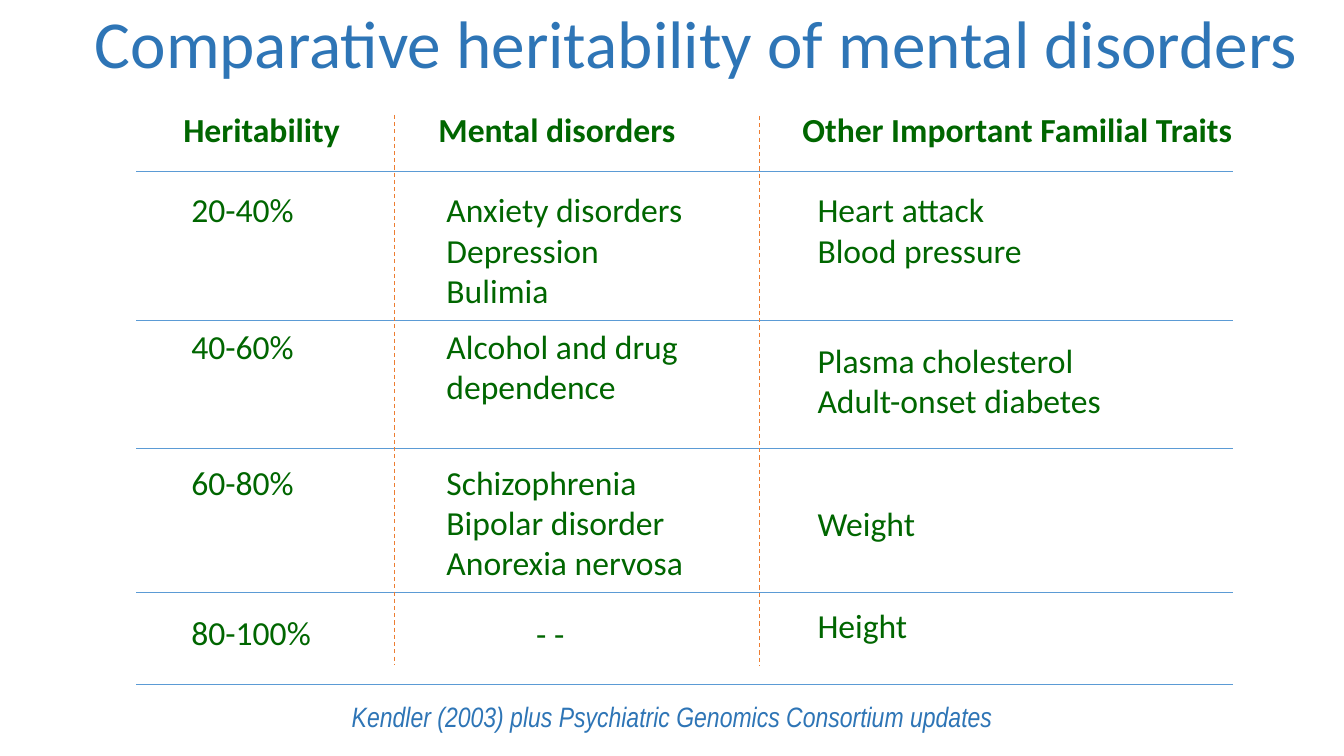
from lxml.etree import SubElement
from pptx import Presentation
from pptx.dml.color import RGBColor
from pptx.enum.dml import MSO_LINE
from pptx.enum.shapes import MSO_CONNECTOR
from pptx.enum.text import MSO_ANCHOR, MSO_AUTO_SIZE, PP_ALIGN
from pptx.oxml.ns import qn
from pptx.util import Inches, Pt

GREEN, BLUE, RULE_BLUE, ORANGE = "006600", "2E75B6", "5B9BD5", "ED7D31"
ENTRY = {"name": "Calibri", "size": Pt(24), "bold": False, "italic": False}
HEADER = ENTRY | {"bold": True}
TITLE = ENTRY | {"size": Pt(48)}
CITATION = {"name": "Arial Narrow", "size": Pt(20), "bold": False, "italic": True}

# Left edge, header offset, width of the header and width of the entries
COLUMNS = [
    ("Heritability", 1.8, 0.08, 2.43, 2.28),
    ("Mental disorders", 4.33, 0.08, 3.96, 3.96),
    ("Other Important Familial Traits", 8.01, 0.15, 5.39, 5.39),
]
# Each entry: top, height and lines, in column order
BANDS = [
    [(1.83, 1.46, ["20-40%"]),
     (1.83, 1.46, ["Anxiety disorders", "Depression", "Bulimia"]),
     (1.83, 1.46, ["Heart attack", "Blood pressure"])],
    [(3.18, 1.46, ["40-60%"]),
     (3.18, 1.46, ["Alcohol and drug dependence"]),
     (3.32, 1.32, ["Plasma cholesterol", "Adult-onset diabetes"])],
    [(4.53, 1.02, ["60-80%"]),
     (4.53, 1.02, ["Schizophrenia", "Bipolar disorder", "Anorexia nervosa"]),
     (4.94, 0.46, ["Weight"])],
    [(6.02, 0.46, ["80-100%"]),
     None,
     (5.95, 0.46, ["Height"])],
]
BAND_EDGES = [1.7, 3.18, 4.45, 5.88, 6.79]
COLUMN_EDGES = [(3.91, 1.14), (7.53, 1.15)]


def rgb(code):
    return RGBColor.from_string(code)


def style(font, look, color):
    for attribute, value in look.items():
        setattr(font, attribute, value)
    font.color.rgb = rgb(color)


def add_text(slide, box, lines, look, color=GREEN, anchor=MSO_ANCHOR.TOP, wrap=True):
    frame = slide.shapes.add_textbox(*map(Inches, box)).text_frame
    frame.word_wrap = wrap
    frame.vertical_anchor = anchor
    frame.text = "\n".join(lines)
    for paragraph in frame.paragraphs:
        style(paragraph.font, look, color)
    return frame


def add_rule(slide, start, end, color, width, dash=None):
    rule = slide.shapes.add_connector(
        MSO_CONNECTOR.STRAIGHT, *map(Inches, (*start, *end)))
    rule.line.color.rgb = rgb(color)
    rule.line.width = Pt(width)
    if dash:
        rule.line.dash_style = dash
    SubElement(rule._element.spPr, qn("a:effectLst"))


def set_title(slide, text):
    title = slide.shapes.title
    bounds = {"left": 0.84, "top": 0.22, "width": 12.17, "height": 0.48}
    for side, length in bounds.items():
        setattr(title, side, Inches(length))
    frame = title.text_frame
    frame.auto_size = MSO_AUTO_SIZE.NONE
    frame.vertical_anchor = MSO_ANCHOR.MIDDLE
    frame.text = text
    heading = frame.paragraphs[0]
    heading.alignment = PP_ALIGN.LEFT
    heading.line_spacing = 0.9
    style(heading.font, TITLE, BLUE)


def add_columns(slide):
    for index, (header, left, offset, header_width, width) in enumerate(COLUMNS):
        add_text(slide, (left - offset, 0.78, header_width, 1.01), [header],
                 HEADER, anchor=MSO_ANCHOR.MIDDLE)
        for band in BANDS:
            if band[index]:
                top, height, lines = band[index]
                add_text(slide, (left, top, width, height), lines, ENTRY)
    add_text(slide, (5.22, 6.03, 0.8, 0.72), ["- -"], ENTRY)


def add_grid(slide):
    for y in BAND_EDGES:
        add_rule(slide, (1.35, y), (12.23, y), RULE_BLUE, 0.5)
    for x, top in COLUMN_EDGES:
        add_rule(slide, (x, top), (x, top + 5.45), ORANGE, 0.75, MSO_LINE.DASH)


def main():
    deck = Presentation()
    deck.slide_width, deck.slide_height = Inches(13.33), Inches(7.5)
    slide = deck.slides.add_slide(deck.slide_layouts.get_by_name("Title Only"))
    set_title(slide, "Comparative heritability of mental disorders")
    add_columns(slide)
    add_grid(slide)
    citation = add_text(
        slide, (3.39, 6.89, 6.61, 0.44),
        ["Kendler (2003) plus Psychiatric Genomics Consortium updates"],
        CITATION, BLUE, wrap=False)
    citation.auto_size = MSO_AUTO_SIZE.SHAPE_TO_FIT_TEXT
    deck.save("out.pptx")


if __name__ == "__main__":
    main()
